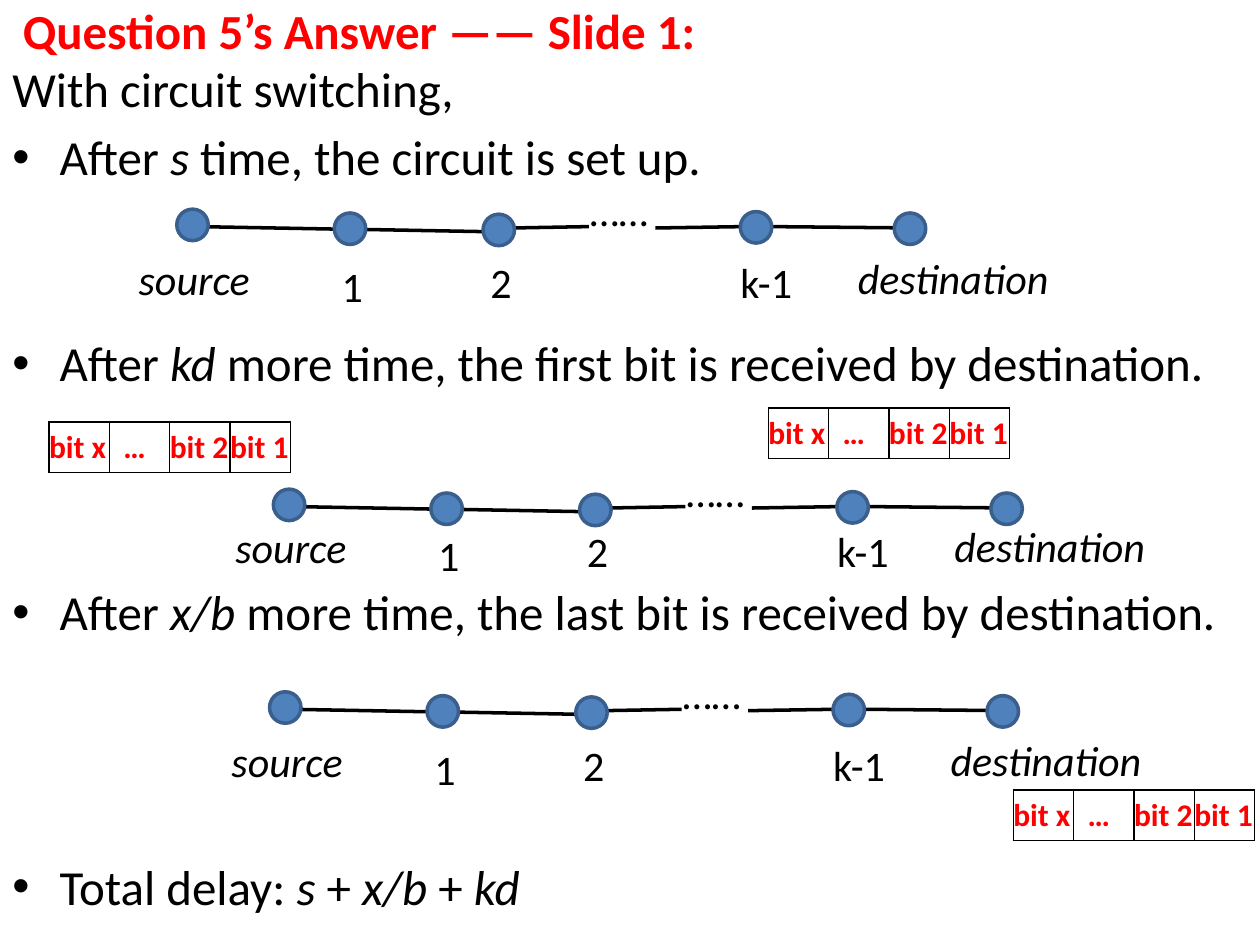
from lxml.etree import SubElement
from pptx import Presentation
from pptx.dml.color import RGBColor
from pptx.enum.shapes import MSO_CONNECTOR, MSO_SHAPE
from pptx.enum.text import MSO_ANCHOR, MSO_AUTO_SIZE, PP_ALIGN
from pptx.oxml.ns import qn
from pptx.util import Pt

TITLE = "Question 5’s Answer —— Slide 1:"

# (space before, bulleted, [(text, italic), ...])
STEPS = [
    (0, False, [("With circuit switching,", False)]),
    (5.2, True, [("After ", False), ("s ", True),
                 ("time, the circuit is set up.", False)]),
    (84, True, [("After ", False), ("kd ", True),
                ("more time, the first bit is received by destination.", False)]),
    (108.7, True, [("After ", False), ("x/b ", True),
                   ("more time, the last bit is received by destination.", False)]),
    (123.3, True, [("Total delay: ", False), ("s ", True), ("+ ", False),
                   ("x/b ", True), ("+ ", False), ("kd", True)]),
]

# Circuits: left and top of the source node, drop from there to the labels
CIRCUITS = [(101, 119.5, 21.6), (156.2, 279.5, 15), (154, 395.3, 21.6)]

# Parts of one circuit, measured from its source node
NODE_SIZE = 18
NODES = [(0, 0), (90, 2.2), (175, 2.9), (322, 1.4), (410, 2.2)]
LINKS = [(12, 10, 95, 11.5), (100, 11.5, 183, 13), (191.5, 10.8, 235.5, 10),
         (273.5, 10.8, 324, 10), (340, 10, 422.5, 10.8)]
DOTS = ("……", 229, -17.3, 78)
# (text, left, shift down, width, italic)
LABELS = [("source", -29.5, 0, 79, True), ("1", 87, 4.3, 26.6, False),
          ("2", 172, 2.2, 26.6, False), ("k-1", 314.6, 2, 44.6, False),
          ("destination", 381, -0.6, 125.3, True)]

BITS = ["bit x", "…", "bit 2", "bit 1"]
BIT_ROWS = [(28, 241.2), (439, 233.2), (579, 451.4)]
BIT_WIDTH, BIT_HEIGHT, ELLIPSIS_INDENT = 34.5, 28.8, 8

BLACK, RED, BLUE, DARK_BLUE = "000000", "FF0000", "4F81BD", "3A5F8C"


def color(value):
    return RGBColor.from_string(value)


def style(run, size, ink=BLACK, bold=False, italic=False):
    font = run.font
    font.name, font.size = "Calibri", Pt(size)
    font.bold, font.italic = bold, italic
    font.color.rgb = color(ink)


def add_label(slide, text, left, top, width, italic=False, wrap=False,
              align=PP_ALIGN.CENTER):
    frame = slide.shapes.add_textbox(Pt(left), Pt(top), Pt(width), Pt(36)).text_frame
    frame.word_wrap = wrap
    frame.auto_size = MSO_AUTO_SIZE.SHAPE_TO_FIT_TEXT
    paragraph = frame.paragraphs[0]
    paragraph.text = text
    paragraph.alignment = align
    style(paragraph.runs[0], 24, italic=italic)


def set_bullet(paragraph):
    properties = paragraph._p.get_or_add_pPr()
    properties.set("marL", str(Pt(27)))
    properties.set("indent", str(-Pt(27)))
    SubElement(properties, qn("a:buFont"), typeface="Arial")
    SubElement(properties, qn("a:buChar"), char="•")


def add_title(slide):
    title = slide.shapes.title
    title.left, title.top = Pt(5.8), Pt(-3.6)
    title.width, title.height = Pt(410), Pt(41)
    frame = title.text_frame
    frame.text = TITLE
    frame.auto_size = MSO_AUTO_SIZE.NONE
    frame.vertical_anchor = MSO_ANCHOR.TOP
    frame.paragraphs[0].alignment = PP_ALIGN.LEFT
    style(frame.paragraphs[0].runs[0], 28, RED, bold=True)


def add_steps(slide):
    frame = slide.shapes.add_textbox(0, Pt(30.2), Pt(720), Pt(509)).text_frame
    frame.word_wrap = True
    for index, (space, bulleted, parts) in enumerate(STEPS):
        paragraph = frame.add_paragraph() if index else frame.paragraphs[0]
        paragraph.space_before = Pt(space)
        if bulleted:
            set_bullet(paragraph)
        for text, italic in parts:
            run = paragraph.add_run()
            run.text = text
            style(run, 28, italic=italic)


def add_circuit(slide, left, top, label_drop):
    for x1, y1, x2, y2 in LINKS:
        link = slide.shapes.add_connector(
            MSO_CONNECTOR.STRAIGHT, Pt(left + x1), Pt(top + y1),
            Pt(left + x2), Pt(top + y2))
        link.line.color.rgb = color(BLACK)
        link.line.width = Pt(2)
        SubElement(link._element.spPr, qn("a:effectLst"))
    text, x, y, width = DOTS
    add_label(slide, text, left + x, top + y, width, wrap=True, align=PP_ALIGN.LEFT)
    for x, y in NODES:
        node = slide.shapes.add_shape(MSO_SHAPE.OVAL, Pt(left + x), Pt(top + y),
                                      Pt(NODE_SIZE), Pt(NODE_SIZE))
        node.shadow.inherit = False
        node.fill.solid()
        node.fill.fore_color.rgb = color(BLUE)
        node.line.color.rgb = color(DARK_BLUE)
        node.line.width = Pt(2)
    for text, x, shift, width, italic in LABELS:
        add_label(slide, text, left + x, top + label_drop + shift, width, italic)


def set_borders(cell):
    properties = cell._tc.get_or_add_tcPr()
    for index, side in enumerate(("lnL", "lnR", "lnT", "lnB")):
        border = properties.makeelement(qn(f"a:{side}"), {"w": str(Pt(1))})
        fill = SubElement(border, qn("a:solidFill"))
        SubElement(fill, qn("a:srgbClr"), val=BLACK)
        properties.insert(index, border)


def add_bits(slide, left, top):
    table = slide.shapes.add_table(
        1, len(BITS), Pt(left), Pt(top),
        Pt(BIT_WIDTH * len(BITS)), Pt(BIT_HEIGHT)).table
    table.first_row = table.horz_banding = False
    for column, bit in enumerate(BITS):
        table.columns[column].width = Pt(BIT_WIDTH)
        cell = table.cell(0, column)
        cell.text = bit
        cell.margin_left = Pt(ELLIPSIS_INDENT if bit == "…" else 0)
        cell.margin_right = 0
        cell.margin_top = cell.margin_bottom = Pt(3.6)
        cell.fill.background()
        set_borders(cell)
        style(cell.text_frame.paragraphs[0].runs[0], 18, RED, bold=True)


def main():
    deck = Presentation()
    deck.slide_width, deck.slide_height = Pt(720), Pt(540)
    slide = deck.slides.add_slide(deck.slide_layouts[5])
    add_title(slide)
    add_steps(slide)
    for circuit in CIRCUITS:
        add_circuit(slide, *circuit)
    for corner in BIT_ROWS:
        add_bits(slide, *corner)
    deck.save("out.pptx")


if __name__ == "__main__":
    main()
